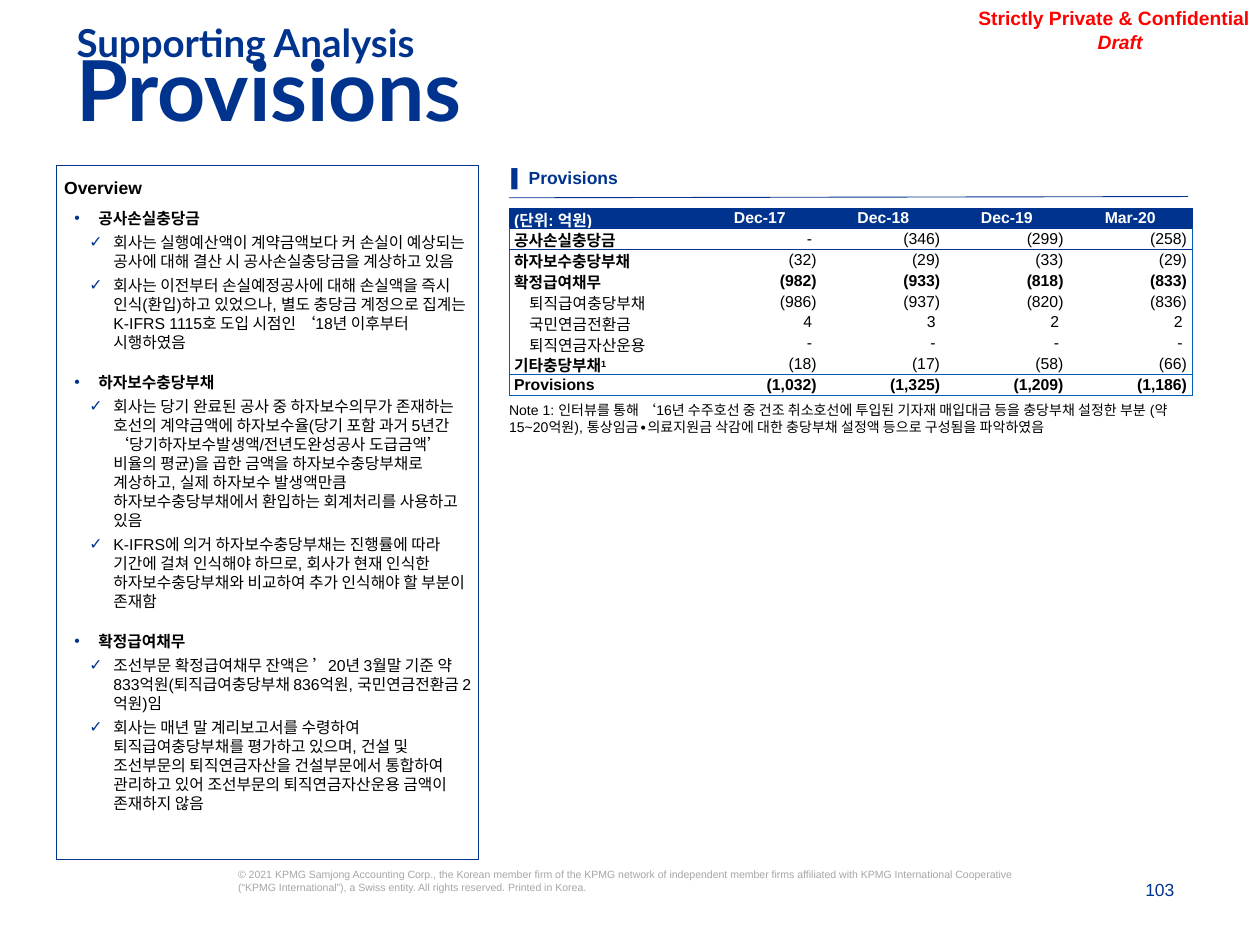
from dataclasses import dataclass
from typing import Any

from lxml.etree import SubElement
from pptx import Presentation
from pptx.dml.color import RGBColor
from pptx.enum.shapes import MSO_CONNECTOR, MSO_SHAPE
from pptx.enum.text import MSO_ANCHOR, PP_ALIGN
from pptx.oxml.ns import qn
from pptx.util import Emu, Inches, Pt

COLUMNS, ROWS = 100, 75
NO_TABLE_STYLE = "{2D5ABB26-0587-4C30-8999-92F81FD0307C}"
ALIGN = {"l": PP_ALIGN.LEFT, "c": PP_ALIGN.CENTER, "r": PP_ALIGN.RIGHT}
ANCHOR = {"t": MSO_ANCHOR.TOP, "m": MSO_ANCHOR.MIDDLE, "b": MSO_ANCHOR.BOTTOM}

COPYRIGHT = (
    "© 2021 KPMG Samjong Accounting Corp., the Korean member firm of the KPMG network of "
    "independent member firms affiliated with KPMG International Cooperative (“KPMG "
    "International”), a Swiss entity. All rights reserved. Printed in Korea."
)
OVERVIEW = {
    "공사손실충당금": [
        "회사는 실행예산액이 계약금액보다 커 손실이 예상되는 공사에 대해 결산 시 공사손실충당금을 계상하고 있음",
        "회사는 이전부터 손실예정공사에 대해 손실액을 즉시 인식(환입)하고 있었으나, 별도 충당금 계정으로 "
        "집계는 K-IFRS 1115호 도입 시점인 ‘18년 이후부터 시행하였음",
    ],
    "하자보수충당부채": [
        "회사는 당기 완료된 공사 중 하자보수의무가 존재하는 호선의 계약금액에 하자보수율(당기 포함 과거 5년간 "
        "‘당기하자보수발생액/전년도완성공사 도급금액’ 비율의 평균)을 곱한 금액을 하자보수충당부채로 계상하고, "
        "실제 하자보수 발생액만큼 하자보수충당부채에서 환입하는 회계처리를 사용하고 있음",
        "K-IFRS에 의거 하자보수충당부채는 진행률에 따라 기간에 걸쳐 인식해야 하므로, 회사가 현재 인식한 "
        "하자보수충당부채와 비교하여 추가 인식해야 할 부분이 존재함",
    ],
    "확정급여채무": [
        "조선부문 확정급여채무 잔액은 ’20년 3월말 기준 약 833억원(퇴직급여충당부채 836억원, 국민연금전환금 2억원)임",
        "회사는 매년 말 계리보고서를 수령하여 퇴직급여충당부채를 평가하고 있으며, 건설 및 조선부문의 "
        "퇴직연금자산을 건설부문에서 통합하여 관리하고 있어 조선부문의 퇴직연금자산운용 금액이 존재하지 않음",
    ],
}
PROVISIONS = [
    ("(단위: 억원)", "Dec-17", "Dec-18", "Dec-19", "Mar-20"),
    ("공사손실충당금", "- ", "(346)", "(299)", "(258)"),
    ("하자보수충당부채", "(32)", "(29)", "(33)", "(29)"),
    ("확정급여채무", "(982)", "(933)", "(818)", "(833)"),
    ("퇴직급여충당부채", "(986)", "(937)", "(820)", "(836)"),
    ("국민연금전환금", "4 ", "3 ", "2 ", "2 "),
    ("퇴직연금자산운용", "- ", "- ", "- ", "- "),
    ("기타충당부채", "(18)", "(17)", "(58)", "(66)"),
    ("Provisions", "(1,032)", "(1,325)", "(1,209)", "(1,186)"),
]
DETAIL_ROWS = (4, 5, 6)
BOLD_ROWS = (0, 3, 8)
NOTE = (
    "Note 1: 인터뷰를 통해 ‘16년 수주호선 중 건조 취소호선에 투입된 기자재 매입대금 등을 "
    "충당부채 설정한 부분 (약 15~20억원), 통상임금"
)
NOTE_END = "∙의료지원금 삭감에 대한 충당부채 설정액 등으로 구성됨을 파악하였음"


def color(value):
    return RGBColor.from_string(value)


@dataclass
class Page:
    """Style and current slide; lengths are counted in grid columns and rows."""
    slide: Any
    width: int
    height: int
    navy: str = "00338D"
    blue: str = "005EB8"
    ink: str = "000000"
    body: str = "Arial"
    heading: str = "Lato"
    korean: str = "Noto Sans CJK KR"

    def x(self, columns):
        return Emu(round(self.width * columns / COLUMNS))

    def y(self, rows):
        return Emu(round(self.height * rows / ROWS))

    def area(self, left, top, width, height):
        return self.x(left), self.y(top), self.x(width), self.y(height)

    def fill_paragraph(self, paragraph, text, size, ink=None, bold=False, italic=False,
                       align="l", spacing=None, before=None, font=None):
        paragraph.add_run().text = text
        paragraph.alignment = ALIGN[align]
        if spacing:
            paragraph.line_spacing = spacing
        if before:
            paragraph.space_before = Pt(before)
        style = paragraph.font
        style.name, style.size = font or self.body, Pt(size)
        style.bold, style.italic = bold, italic
        style.color.rgb = color(ink or self.ink)

    def frame(self, shape, insets, anchor):
        frame = shape.text_frame
        frame.word_wrap = True
        frame.vertical_anchor = ANCHOR[anchor]
        (frame.margin_left, frame.margin_top,
         frame.margin_right, frame.margin_bottom) = map(self.x, insets)
        return frame

    def text(self, place, text, size, insets=(0, 0, 0, 0), anchor="t", **style):
        box = self.slide.shapes.add_textbox(*self.area(*place))
        paragraph = self.frame(box, insets, anchor).paragraphs[0]
        self.fill_paragraph(paragraph, text, size, **style)
        return paragraph

    def panel(self, place):
        panel = self.slide.shapes.add_shape(MSO_SHAPE.RECTANGLE, *self.area(*place))
        panel.shadow.inherit = False
        panel.fill.background()
        panel.line.color.rgb = color(self.navy)
        panel.line.width = Pt(0.5)
        return self.frame(panel, (0.6,) * 4, "t")

    def bullet(self, frame, mark, indent, text, **style):
        paragraph = frame.add_paragraph()
        properties = paragraph._p.get_or_add_pPr()
        properties.set("marL", str(self.x(indent)))
        properties.set("indent", str(self.x(-1.9)))
        tint = SubElement(properties, qn("a:buClr"))
        SubElement(tint, qn("a:srgbClr"), val=self.navy)
        SubElement(properties, qn("a:buFont"), typeface=self.body)
        SubElement(properties, qn("a:buChar"), char=mark)
        self.fill_paragraph(paragraph, text, 9, **style)

    def rule(self, left, top, right, bottom):
        line = self.slide.shapes.add_connector(
            MSO_CONNECTOR.STRAIGHT, self.x(left), self.y(top), self.x(right), self.y(bottom))
        line.line.color.rgb = color(self.navy)
        line.line.width = Pt(0.5)
        SubElement(line._element.spPr, qn("a:effectLst"))

    def borders(self, cell, sides):
        """Draw the given sides, a dict of L, R, T, B in this order to (colour, points)."""
        properties = cell._tc.get_or_add_tcPr()
        for index, (side, (tint, points)) in enumerate(sides.items()):
            line = SubElement(properties, qn(f"a:ln{side}"), w=str(Pt(points)))
            fill = SubElement(line, qn("a:solidFill"))
            SubElement(fill, qn("a:srgbClr"), val=tint)
            properties.insert(index, line)

    def table(self, place, rows, widths):
        table = self.slide.shapes.add_table(len(rows), len(widths), *self.area(*place)).table
        table.first_row = table.horz_banding = False
        table._tbl.tblPr.find(qn("a:tableStyleId")).text = NO_TABLE_STYLE
        for column, width in zip(table.columns, widths):
            column.width = self.x(width)
        for row in table.rows:
            row.height = self.y(place[3] / len(rows))
        last_row, last_column = len(rows) - 1, len(widths) - 1
        for r, values in enumerate(rows):
            edge = (self.blue if r else self.navy, 0.5)
            for c, value in enumerate(values):
                cell = table.cell(r, c)
                detail = c == 0 and r in DETAIL_ROWS
                cell.vertical_anchor = MSO_ANCHOR.MIDDLE
                cell.margin_left = self.x(1.6 if detail else 0.4)
                cell.margin_right = self.x(0 if detail else 0.4)
                cell.margin_top = cell.margin_bottom = 0
                if r:
                    cell.fill.background()
                else:
                    cell.fill.solid()
                    cell.fill.fore_color.rgb = color(self.navy)
                self.fill_paragraph(cell.text_frame.paragraphs[0], value, 9,
                                    ink=self.ink if r else "FFFFFF",
                                    bold=r in BOLD_ROWS or (c == 0 and not detail),
                                    align="l" if c == 0 else "r" if r else "c")
                sides = {"L": edge} if c == 0 else {}
                if c == last_column:
                    sides["R"] = edge
                if r in (0, 1, last_row):
                    sides["T"] = (self.navy if r < 2 else self.blue, 0.5)
                if r in (0, last_row - 1, last_row):
                    sides["B"] = (edge[0], 1 if r == last_row else 0.5)
                self.borders(cell, sides)
        return table


def main():
    deck = Presentation()
    deck.slide_width, deck.slide_height = Inches(10), Inches(7.5)
    slide = deck.slides.add_slide(deck.slide_layouts[6])
    page = Page(slide, deck.slide_width, deck.slide_height)

    page.text((18.9, 68.9, 63.6, 4.2), COPYRIGHT, 6, ink="A6A6A6")
    page.text((80.1, 69.8, 13.1, 1.6), "103", 10, anchor="b", ink=page.navy, align="r")
    stamp = dict(size=11, insets=(0, 0.4, 0.4, 0.4), anchor="b", ink="FF0000", bold=True)
    page.text((74.6, -0.1, 25, 2.8), "Strictly Private & Confidential", align="r", **stamp)
    page.text((78.5, 1.8, 21.2, 2.8), "Draft", align="c", italic=True, **stamp)
    title = dict(insets=(1, 0.5, 1, 0.5), ink=page.navy, bold=True, spacing=0.7,
                 font=page.heading)
    page.text((5.1, 4.7, 94, 7.9), "Provisions", 48, **title)
    page.text((5.1, 2, 94, 3), "Supporting Analysis", 22, **title)

    overview = page.panel((4.5, 13.1, 33.5, 55.1))
    page.fill_paragraph(overview.paragraphs[0], "Overview", 10, bold=True, spacing=1.2)
    for index, (topic, findings) in enumerate(OVERVIEW.items()):
        page.bullet(overview, "•", 2.7, topic, bold=True, before=12 if index else 6)
        for finding in findings:
            page.bullet(overview, "✓", 3.9, finding, before=3)

    page.rule(40.4, 15.7, 94.3, 15.6)
    page.text((40.6, 12, 54, 3.9), "▌ Provisions", 10, anchor="m", ink=page.navy,
              bold=True, spacing=1.2)
    table = page.table((40.4, 16.5, 54.2, 14.9), PROVISIONS, (15, 9.8, 9.8, 9.8, 9.8))
    note_mark = table.cell(7, 0).text_frame.paragraphs[0].add_run()
    note_mark.text = "1"
    note_mark._r.get_or_add_rPr().set("baseline", "30000")
    note = page.text((40.4, 31.9, 53.9, 2.7), NOTE, 8)
    ending = note.add_run()
    ending.text = NOTE_END
    ending.font.name = page.korean
    deck.save("out.pptx")


if __name__ == "__main__":
    main()
